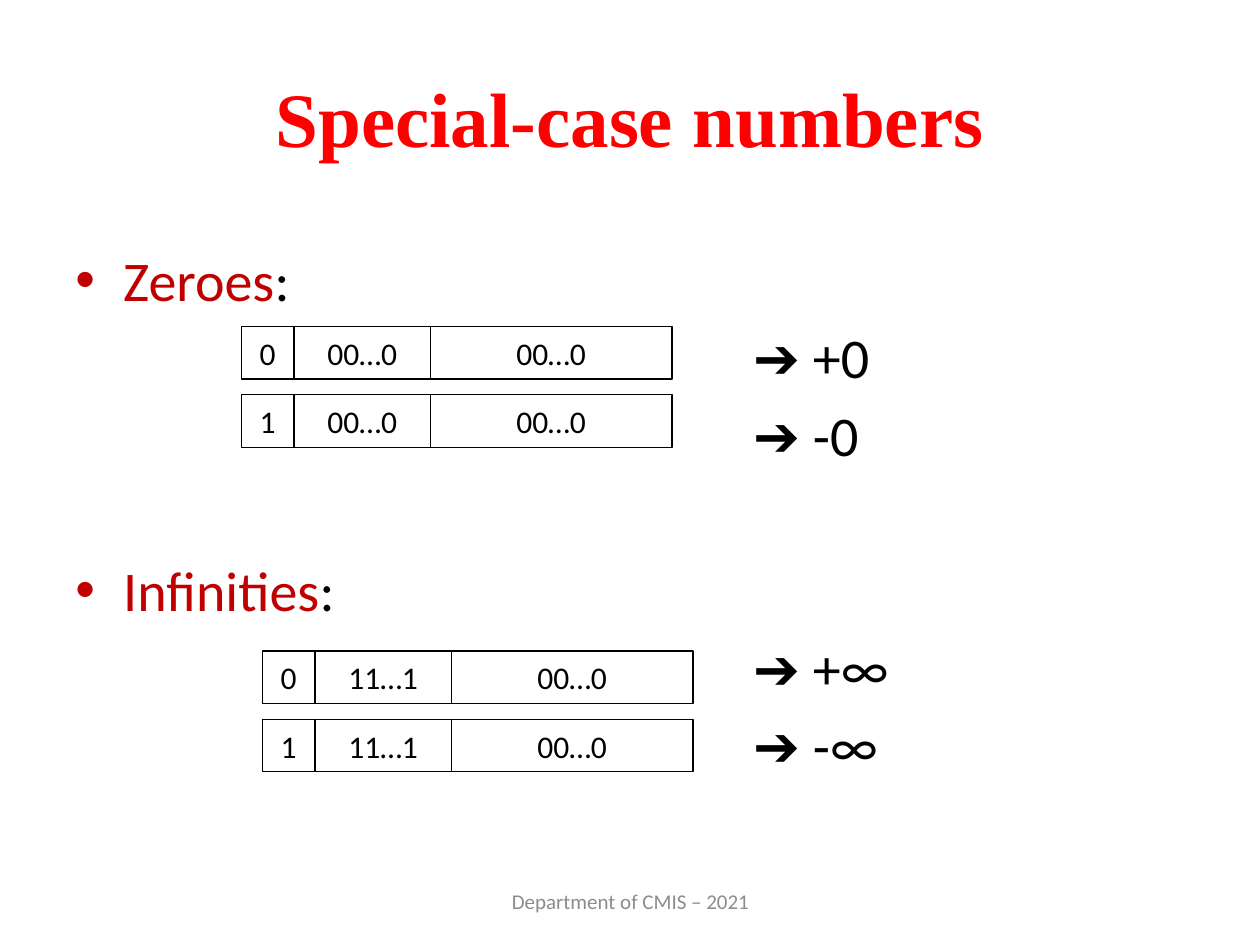
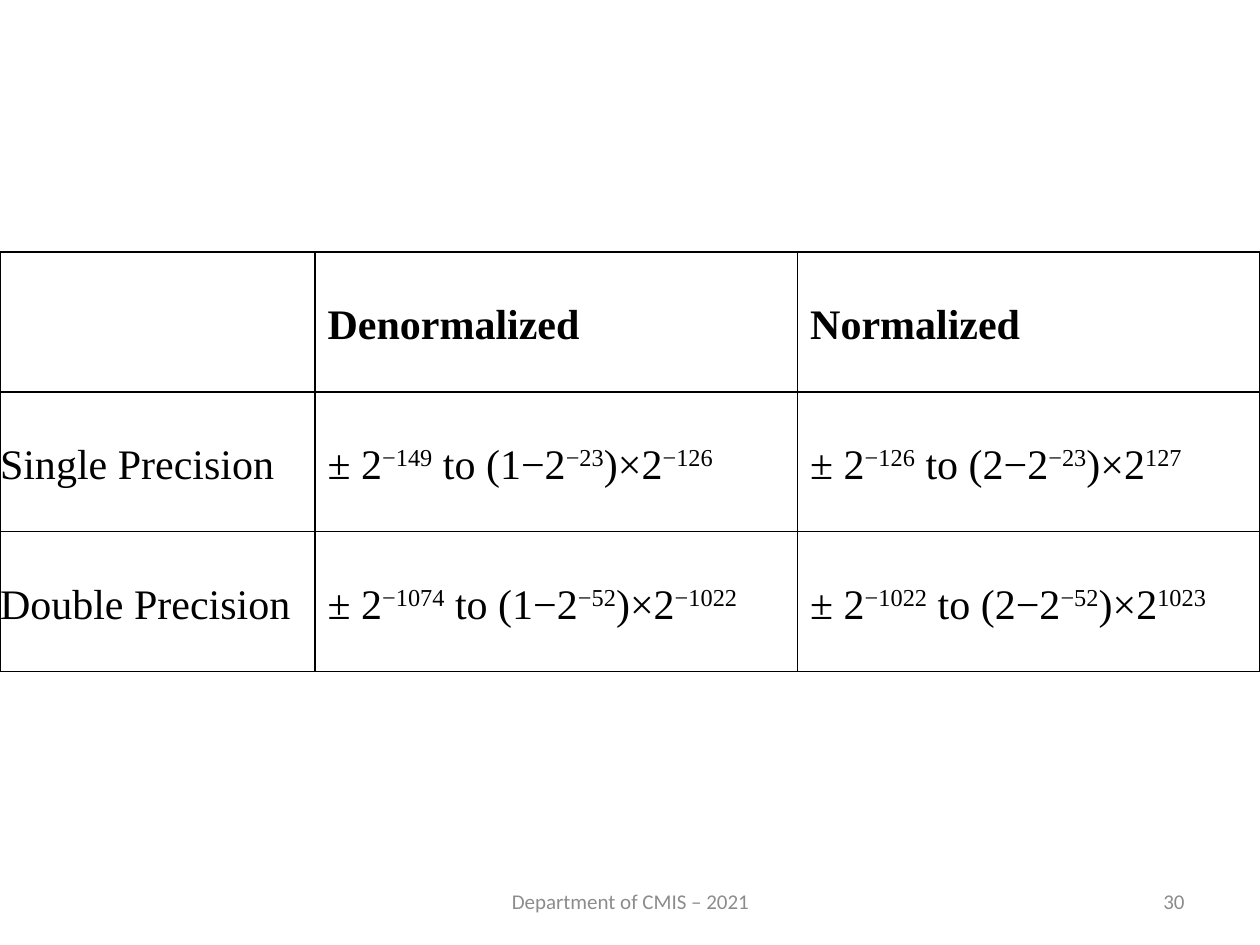
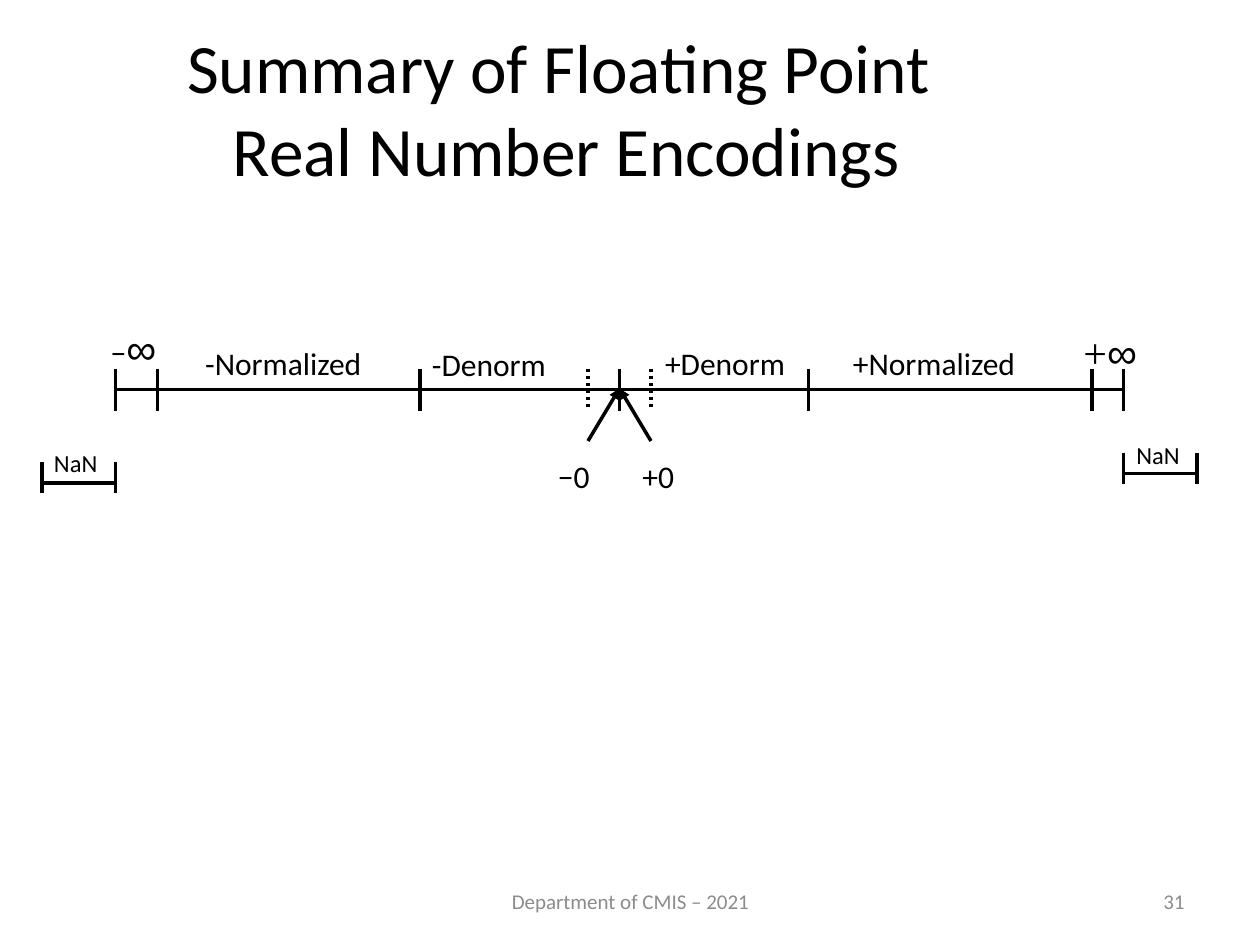
from lxml.etree import SubElement as Sub
from pptx import Presentation
from pptx.dml.color import RGBColor
from pptx.enum.dml import MSO_LINE as Dash
from pptx.enum.shapes import MSO_CONNECTOR as Conn, MSO_SHAPE as Shape
from pptx.enum.text import MSO_ANCHOR as Anchor, PP_ALIGN as Align
from pptx.oxml.ns import qn
from pptx.util import Inches, Pt

SANS, SERIF = "Calibri", "Times New Roman"
BLACK, RED, DARK, GREY = "000000", "FF0000", "C00000", "8C8C8C"
hue = RGBColor.from_string
CELL = Inches(1) / 12  # drawing grid: twelve cells to the inch


def write(par, text, size, color=BLACK, font=SANS, bold=False):
    """Write text in a paragraph; a caret starts a new run."""
    parts = text.split("^")
    par.text = parts[0]
    for part in parts[1:]:
        par.add_run().text = part
    for run in par.runs:
        run.font.size, run.font.name, run.font.bold = Pt(size), font, bold
        run.font.color.rgb = hue(color)


def label(slide, x, y, w, h, text, size, color=BLACK, font=SANS, bold=False,
          align=Align.LEFT, anchor=Anchor.TOP, wrap=False):
    box = slide.shapes.add_textbox(Inches(x), Inches(y), Inches(w), Inches(h))
    frame = box.text_frame
    frame.word_wrap, frame.vertical_anchor = wrap, anchor
    par = frame.paragraphs[0]
    write(par, text, size, color, font, bold)
    par.alignment = align
    return frame


deck = Presentation()
deck.slide_width, deck.slide_height = Inches(10), Inches(7.5)
blank = deck.slide_layouts[6]

# Shared footer and page numbers
slides = []
for page in ("", "30", "31"):
    slide = deck.slides.add_slide(blank)
    label(slide, 3.42, 6.95, 3.17, 0.4, "Department of CMIS – 2021", 12, GREY,
          align=Align.CENTER, anchor=Anchor.MIDDLE, wrap=True)
    if page:
        label(slide, 7.17, 6.95, 2.33, 0.4, page, 12, GREY,
              align=Align.RIGHT, anchor=Anchor.MIDDLE, wrap=True)
    slides.append(slide)
cases, ranges, recap = slides

# Special cases: title and body
label(cases, 0.5, 0.3, 9, 1.25, "Special-case numbers", 44, RED, SERIF, True,
      Align.CENTER, Anchor.MIDDLE, True)
body = label(cases, 0.5, 1.9, 9, 4.95, "Zeroes^:", 32, wrap=True)
for text in ("➔ +0", "➔ -0", "Infinities^:", "➔ +∞", "➔ -∞"):
    par = body.add_paragraph()
    write(par, text, 32)
    par.space_before = Pt(50.5 if "^" in text else 5.75)
for par in body.paragraphs:
    props = par._p.get_or_add_pPr()
    if len(par.runs) > 1:
        par.runs[0].font.color.rgb = hue(DARK)
        props.set("marL", str(Inches(0.38)))
        props.set("indent", str(Inches(-0.38)))
        Sub(props, qn("a:buFont"), typeface="Arial")
        Sub(props, qn("a:buChar"), char="•")
    else:
        props.set("marL", str(Inches(5.38)))

# Special cases: sign, exponent and fraction fields
for left, top, power in ((23, 31.1, "00…0"), (25, 62, "11…1")):
    for row, sign in enumerate("01"):
        col = left
        for text, wide in ((sign, 5), (power, 13), ("00…0", 23)):
            field = cases.shapes.add_shape(
                Shape.RECTANGLE, int(col * CELL), int((top + 6.5 * row) * CELL),
                int(wide * CELL), int(5 * CELL))
            field.shadow.inherit = False
            field.fill.background()
            field.line.color.rgb, field.line.width = hue(BLACK), Pt(0.75)
            frame = field.text_frame
            frame.word_wrap, frame.vertical_anchor = False, Anchor.MIDDLE
            write(frame.paragraphs[0], text, 18)
            frame.paragraphs[0].alignment = Align.CENTER
            col += wide

# Ranges table: every second run is an exponent
rows = (
    ("", "Denormalized", "Normalized"),
    ("Single Precision", "± 2^−149^ to (1−2^−23^)×2^−126",
     "± 2^−126^ to (2−2^−23^)×2^127"),
    ("Double Precision", "± 2^−1074^ to (1−2^−52^)×2^−1022",
     "± 2^−1022^ to (2−2^−52^)×2^1023"),
)
grid = ranges.shapes.add_table(3, 3, 0, Inches(2), Inches(10), Inches(3.33)).table
grid.first_row = grid.horz_banding = False
for col, wide in zip(grid.columns, (2.5, 3.83, 3.67)):
    col.width = Inches(wide)
for r, row in enumerate(rows):
    grid.rows[r].height = Inches(1.11)
    for c, text in enumerate(row):
        cell = grid.cell(r, c)
        cell.margin_left, cell.margin_right = Inches(0.1 if c else 0), Inches(0.1)
        cell.margin_top = cell.margin_bottom = 0
        cell.vertical_anchor = Anchor.MIDDLE
        props = cell._tc.get_or_add_tcPr()
        for side in ("a:lnL", "a:lnR", "a:lnT", "a:lnB"):
            edge = Sub(props, qn(side), w=str(Pt(1)))
            Sub(Sub(edge, qn("a:solidFill")), qn("a:srgbClr"), val=BLACK)
        cell.fill.background()
        if text:
            par = cell.text_frame.paragraphs[0]
            write(par, text, 24, font=SERIF, bold=r == 0)
            par.line_spacing = 1.15
            for run in par.runs[1::2]:
                run.font._element.set("baseline", "30000")

# Recap: title
label(recap, 0.67, 0.25, 7.65, 1.2, "Summary of Floating Point \vReal Number Encodings",
      39.6, align=Align.CENTER, anchor=Anchor.MIDDLE, wrap=True)

# Recap: axis, ticks, brackets and arrows, in grid cells
AXIS = 37.1
lines = [(11, AXIS, 107, AXIS, "")]
for x in (11, 15, 40, 56, 59, 62, 77, 104, 107):
    lines.append((x, 35.1, x, 39.1, "dots" if x in (56, 62) else ""))
for x, y in ((4, 44), (107, 43.1)):
    lines.append((x, y + 2, x + 7, y + 2, ""))
    lines += [(end, y, end, y + 3, "") for end in (x, x + 7)]
lines += [(x, 42, 59, 37, "arrow") for x in (56, 62)]
for x1, y1, x2, y2, kind in lines:
    ends = [int(v * CELL) for v in (x1, y1, x2, y2)]
    line = recap.shapes.add_connector(Conn.STRAIGHT, *ends)
    line.line.color.rgb, line.line.width = hue(BLACK), Pt(2)
    if kind == "dots":
        line.line.dash_style = Dash.ROUND_DOT
    if kind == "arrow":
        Sub(line.line._get_or_add_ln(), qn("a:tailEnd"), type="triangle")
    Sub(line._element.spPr, qn("a:effectLst"))

# Recap: labels
for x, y, w, text, size in (
        (0.33, 3.51, 0.59, "NaN", 14), (8.92, 3.44, 0.59, "NaN", 14),
        (1.53, 2.68, 1.55, "-Normalized", 18), (3.33, 2.69, 1.17, "-Denorm", 18),
        (5.18, 2.68, 1.24, "+Denorm", 18), (6.67, 2.68, 1.61, "+Normalized", 18),
        (4.33, 3.58, 0.48, "−0", 18), (5, 3.58, 0.49, "+0", 18)):
    label(recap, x, y, w, 0.33 if size == 14 else 0.4, text, size)
for x, y, w, text, size, font in ((0.78, 2.51, 0.58, "−^∞", 18, SANS),
                                  (8.5, 2.54, 0.63, "+^∞", 24, SERIF)):
    frame = label(recap, x, y, w, 0.5, text, size, font=font)
    sign = frame.paragraphs[0].runs[1].font
    sign.name, sign.size = "Arial", Pt(24)

deck.save("out.pptx")
